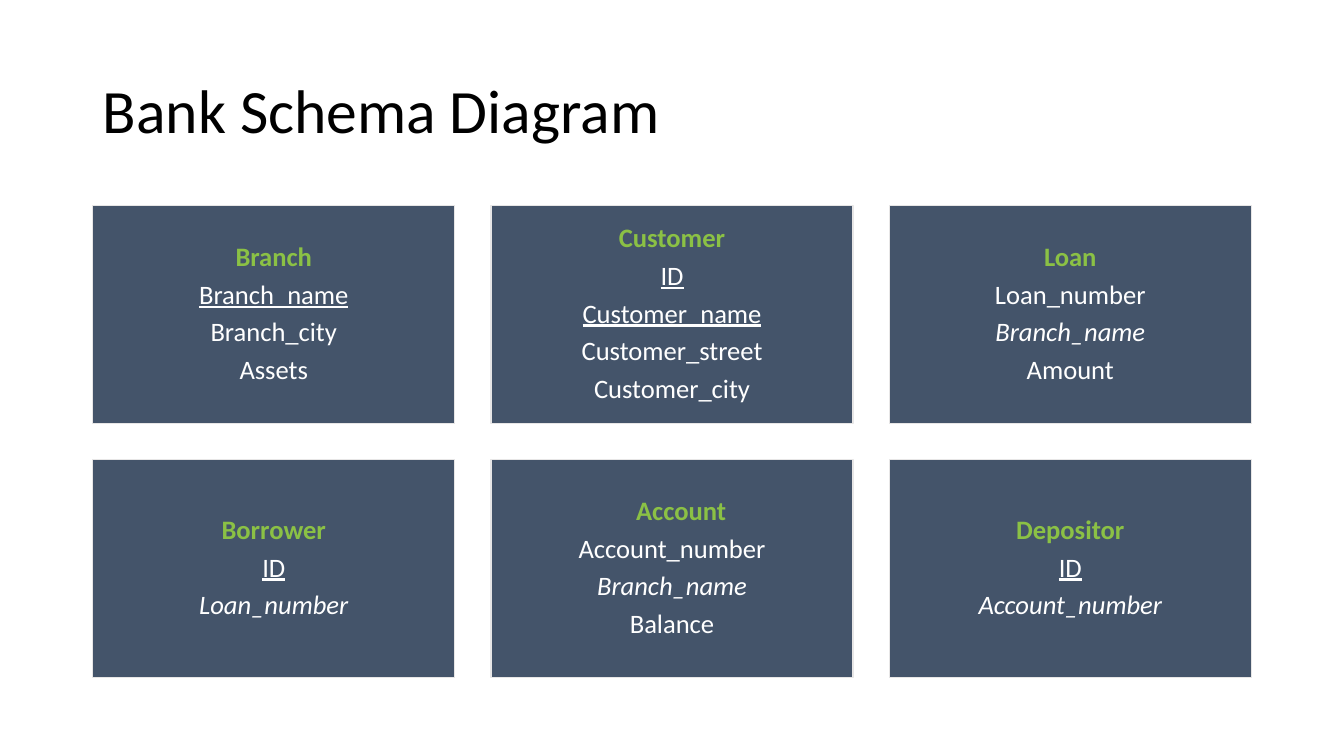
from pptx import Presentation
from pptx.dml.color import RGBColor
from pptx.enum.shapes import MSO_SHAPE
from pptx.enum.text import MSO_ANCHOR, MSO_AUTO_SIZE, PP_ALIGN
from pptx.util import Inches, Pt

RECT = MSO_SHAPE.RECTANGLE
MIDDLE = MSO_ANCHOR.MIDDLE
FIXED = MSO_AUTO_SIZE.NONE
LEFT, CENTER = PP_ALIGN.LEFT, PP_ALIGN.CENTER

# Content: each table with its fields and their styles
TITLE = "Bank Schema Diagram"
KEY, REF = {"underline": True}, {"italic": True}
TABLES = [
    ("Branch", [("Branch_name", KEY), ("Branch_city", {}), ("Assets", {})]),
    ("Customer", [("ID", KEY), ("Customer_name", KEY),
                  ("Customer_street", {}), ("Customer_city", {})]),
    ("Loan", [("Loan_number", {}), ("Branch_name", REF), ("Amount", {})]),
    ("Borrower", [("ID", KEY), ("Loan_number", REF)]),
    ("Account", [("Account_number", {}), ("Branch_name", REF),
                 ("Balance", {})]),
    ("Depositor", [("ID", KEY), ("Account_number", REF)]),
]
INDENT = {"Account": 0.18}

THEME = {
    "font": "Calibri", "title": 44, "body": 19, "after": 6.4,
    "ink": "000000", "text": "FFFFFF", "head": "8BC145",
    "card": "44546A", "edge": "E7E6E6",
}

# Grid in inches
WIDE, HIGH = 13.33, 7.5
COLS = 3
X, Y = 0.92, 2.04
W, H, GAP = 3.59, 2.16, 0.36


def color(name):
    return RGBColor.from_string(THEME[name])


def write(para, text, size="body", ink="text", align=CENTER, after=0,
          indent=0, bold=False, italic=False, underline=False):
    para.alignment = align
    para.line_spacing = 0.9
    para.space_before, para.space_after = Pt(0), Pt(after)
    if indent:
        para._p.get_or_add_pPr().set("marL", str(Inches(indent)))
    run = para.add_run()
    run.text = text
    font = run.font
    font.name, font.size = THEME["font"], Pt(THEME[size])
    font.color.rgb = color(ink)
    font.bold, font.italic, font.underline = bold, italic, underline


def draw_card(slide, spot, name, fields):
    row, col = divmod(spot, COLS)
    box = slide.shapes.add_shape(
        RECT, Inches(X + col * (W + GAP)), Inches(Y + row * (H + GAP)),
        Inches(W), Inches(H))
    box.shadow.inherit = False
    box.fill.solid()
    box.fill.fore_color.rgb = color("card")
    box.line.color.rgb = color("edge")
    box.line.width = Pt(1)
    frame = box.text_frame
    frame.word_wrap = True
    frame.vertical_anchor = MIDDLE
    frame.margin_left = frame.margin_right = Inches(0.08)
    frame.margin_top = frame.margin_bottom = Inches(0.08)
    write(frame.paragraphs[0], name, ink="head", bold=True,
          after=THEME["after"], indent=INDENT.get(name, 0))
    for field, style in fields:
        write(frame.add_paragraph(), field, after=THEME["after"], **style)


deck = Presentation()
deck.slide_width, deck.slide_height = Inches(WIDE), Inches(HIGH)
slide = deck.slides.add_slide(deck.slide_layouts[5])

# Title
title = slide.shapes.title
title.left, title.top = Inches(X), Inches(0.4)
title.width, title.height = Inches(11.5), Inches(1.45)
title.text_frame.auto_size = FIXED
title.text_frame.vertical_anchor = MIDDLE
write(title.text_frame.paragraphs[0], TITLE, size="title", ink="ink",
      align=LEFT)

# Table cards
for spot, (name, fields) in enumerate(TABLES):
    draw_card(slide, spot, name, fields)

deck.save("out.pptx")
